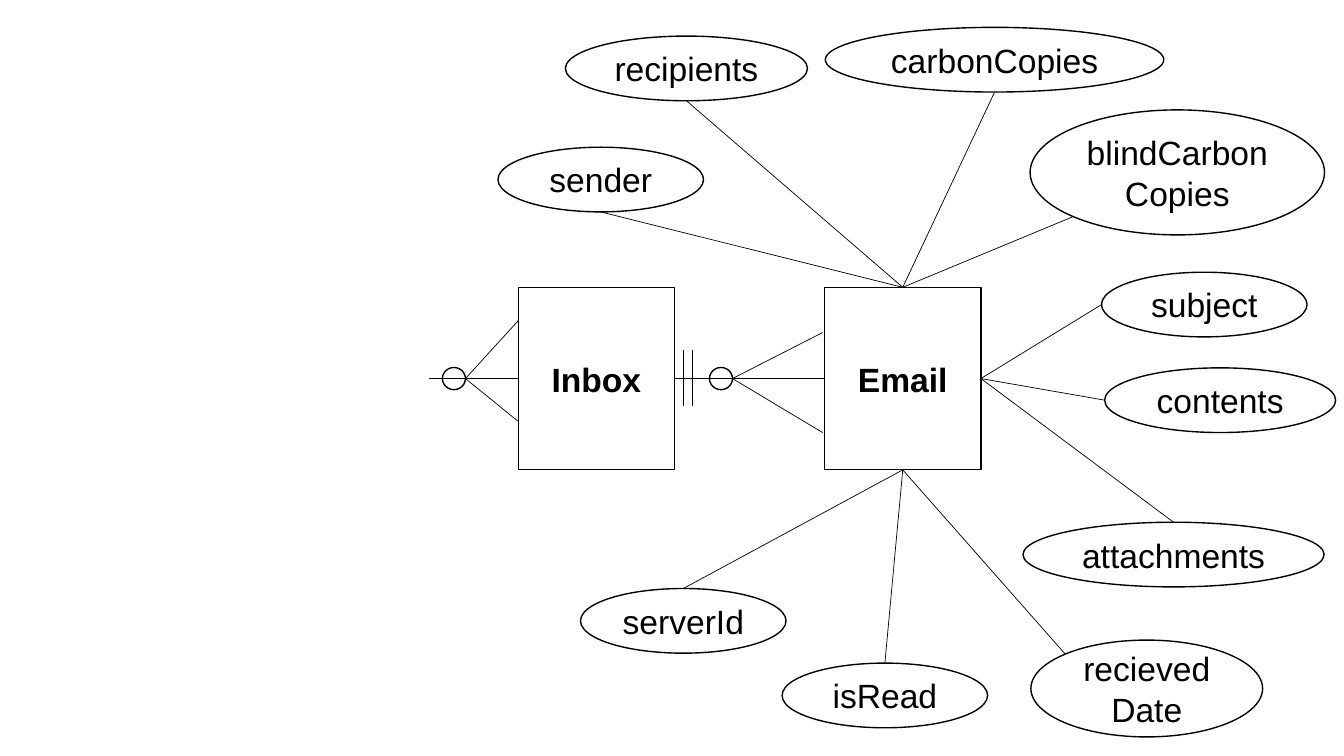
from dataclasses import dataclass

from lxml.etree import SubElement
from pptx import Presentation
from pptx.dml.color import RGBColor
from pptx.enum.shapes import MSO_CONNECTOR as Connector, MSO_SHAPE as Preset
from pptx.enum.text import MSO_ANCHOR as Anchor, PP_ALIGN as Align
from pptx.oxml.ns import qn
from pptx.util import Cm, Pt


@dataclass(frozen=True)
class Theme:
    """Colours, font and sizes used on the slide."""
    ink: RGBColor = RGBColor(0, 0, 0)
    paper: RGBColor = RGBColor(255, 255, 255)
    font: str = "Arial"
    text: Pt = Pt(24)
    outline: Pt = Pt(1)
    link: Pt = Pt(0.5)


THEME = Theme()
AXIS = 9.54
ENTITY_TOP, ENTITY_WIDTH, ENTITY_HEIGHT = 7.24, 3.94, 4.6
INBOX_LEFT, EMAIL_LEFT = 13.06, 20.78
OVAL_WIDTH, OVAL_HEIGHT = 5.18, 1.63
RING_WIDTH, RING_HEIGHT = 0.58, 0.56

EMAIL_SIDES = {
    "top": (EMAIL_LEFT + ENTITY_WIDTH / 2, ENTITY_TOP),
    "right": (EMAIL_LEFT + ENTITY_WIDTH, AXIS),
    "bottom": (EMAIL_LEFT + ENTITY_WIDTH / 2, ENTITY_TOP + ENTITY_HEIGHT),
}
OVAL_SITES = {
    "top": (0.5, 0),
    "left": (0, 0.5),
    "bottom": (0.5, 1),
    "top left": (0.15, 0.15),
    "bottom left": (0.15, 0.85),
}
ATTRIBUTES = [
    ("sender", (12.55, 3.71, OVAL_WIDTH, OVAL_HEIGHT), "bottom", "top"),
    ("recipients", (14.25, 0.91, 6.1, OVAL_HEIGHT), "bottom", "top"),
    ("carbonCopies", (20.8, 0.69, 8.53, OVAL_HEIGHT), "bottom", "top"),
    ("blindCarbon\vCopies", (25.96, 2.77, 7.42, 3.15), "bottom left", "top"),
    ("subject", (27.76, 6.86, OVAL_WIDTH, OVAL_HEIGHT), "left", "right"),
    ("contents", (27.84, 9.27, 5.82, OVAL_HEIGHT), "left", "right"),
    ("attachments", (25.78, 13.16, 7.59, OVAL_HEIGHT), "top", "right"),
    ("recieved\vDate", (25.98, 16.13, 5.84, 2.44), "top left", "bottom"),
    ("isRead", (19.71, 16.71, OVAL_WIDTH, OVAL_HEIGHT), "top", "bottom"),
    ("serverId", (14.63, 14.83, OVAL_WIDTH, OVAL_HEIGHT), "top", "bottom"),
]


def add_outline(page, preset, frame):
    """Add an unfilled shape with a thin outline."""
    box = page.shapes.add_shape(preset, *map(Cm, frame))
    box.shadow.inherit = False
    box.fill.background()
    box.line.color.rgb = THEME.ink
    box.line.width = THEME.outline
    return box


def add_label(page, preset, text, frame, bold=False):
    """Add a filled shape with centred text."""
    box = add_outline(page, preset, frame)
    box.fill.solid()
    box.fill.fore_color.rgb = THEME.paper
    body = box.text_frame
    body.word_wrap = False
    body.vertical_anchor = Anchor.MIDDLE
    body.margin_left = body.margin_right = 0
    body.margin_top = body.margin_bottom = 0
    para = body.paragraphs[0]
    para.text = text
    para.alignment = Align.CENTER
    para.font.name = THEME.font
    para.font.size = THEME.text
    para.font.bold = bold
    para.font.color.rgb = THEME.ink


def add_link(page, start, end):
    """Add a hairline between two points."""
    link = page.shapes.add_connector(Connector.STRAIGHT, *map(Cm, (*start, *end)))
    link.line.color.rgb = THEME.ink
    link.line.width = THEME.link
    SubElement(link._element.spPr, qn("a:effectLst"))


def add_entity(page, name, left):
    """Add an entity square on the axis."""
    frame = (left, ENTITY_TOP, ENTITY_WIDTH, ENTITY_HEIGHT)
    add_label(page, Preset.RECTANGLE, name, frame, bold=True)


def add_attribute(page, name, frame, site, side):
    """Add an attribute oval and its link to Email."""
    left, top, width, height = frame
    across, down = OVAL_SITES[site]
    start = (left + across * width, top + down * height)
    add_link(page, start, EMAIL_SIDES[side])
    add_label(page, Preset.OVAL, name, frame)


def add_crow_foot(page, line_left, ring_left, entity_left, prong_right, prong_ends):
    """Add a zero-or-many end that opens towards an entity."""
    add_link(page, (line_left, AXIS), (entity_left, AXIS))
    for end in prong_ends:
        add_link(page, (ring_left + RING_WIDTH, AXIS), (prong_right, end))
    frame = (ring_left, AXIS - RING_HEIGHT / 2, RING_WIDTH, RING_HEIGHT)
    add_outline(page, Preset.OVAL, frame)


def main():
    """Build the entity diagram and save it."""
    deck = Presentation()
    deck.slide_width, deck.slide_height = Cm(33.87), Cm(19.05)
    page = deck.slides.add_slide(deck.slide_layouts.get_by_name("Blank"))

    add_entity(page, "Inbox", INBOX_LEFT)
    add_entity(page, "Email", EMAIL_LEFT)
    for attribute in ATTRIBUTES:
        add_attribute(page, *attribute)

    add_crow_foot(page, 10.82, 11.15, INBOX_LEFT, INBOX_LEFT, (8.08, 10.62))
    add_crow_foot(page, INBOX_LEFT + ENTITY_WIDTH, 17.88, EMAIL_LEFT, 20.73, (8.38, 10.9))
    for bar in (17.22, 17.45):
        add_link(page, (bar, 8.81), (bar, 10.24))

    deck.save("out.pptx")


main()
